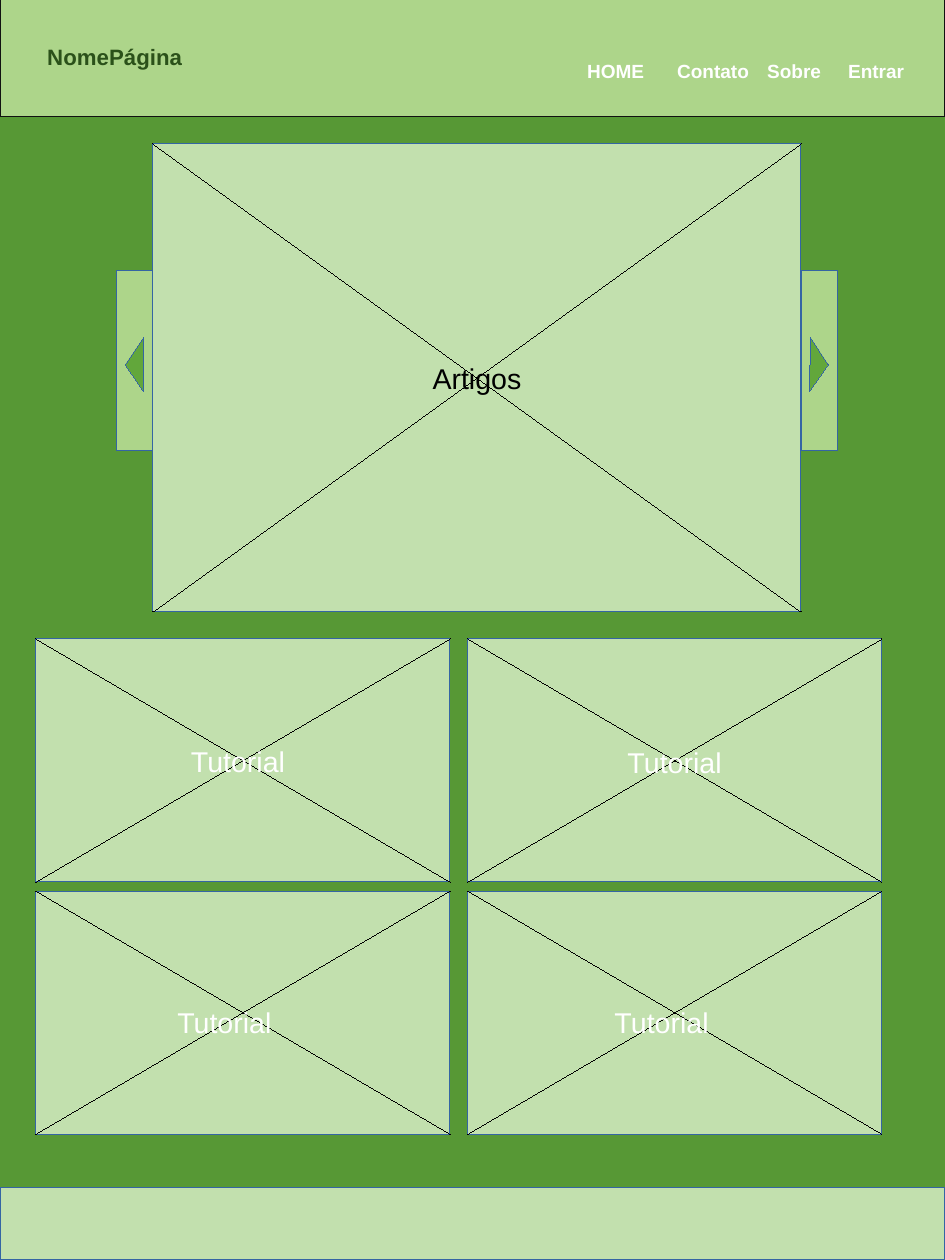
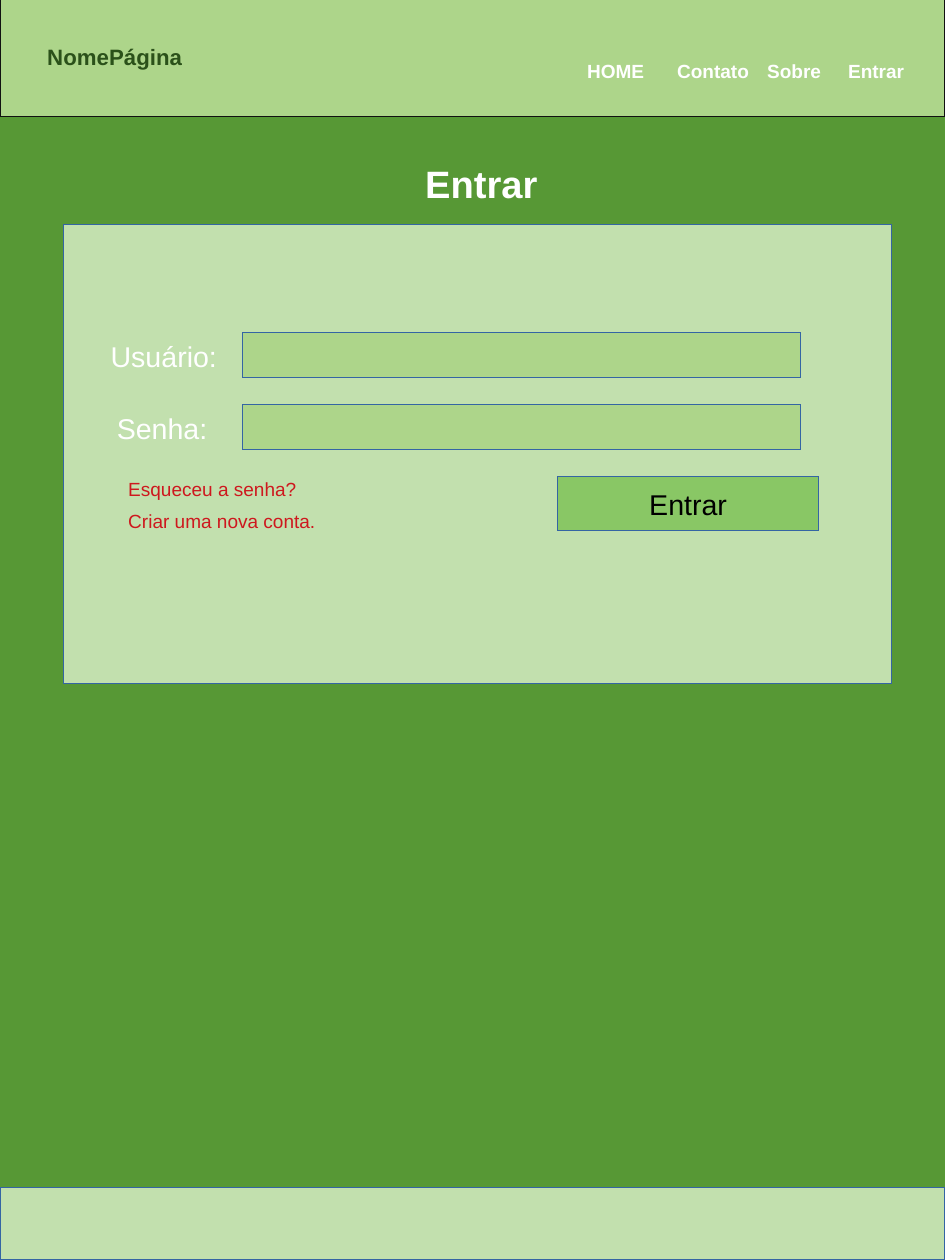
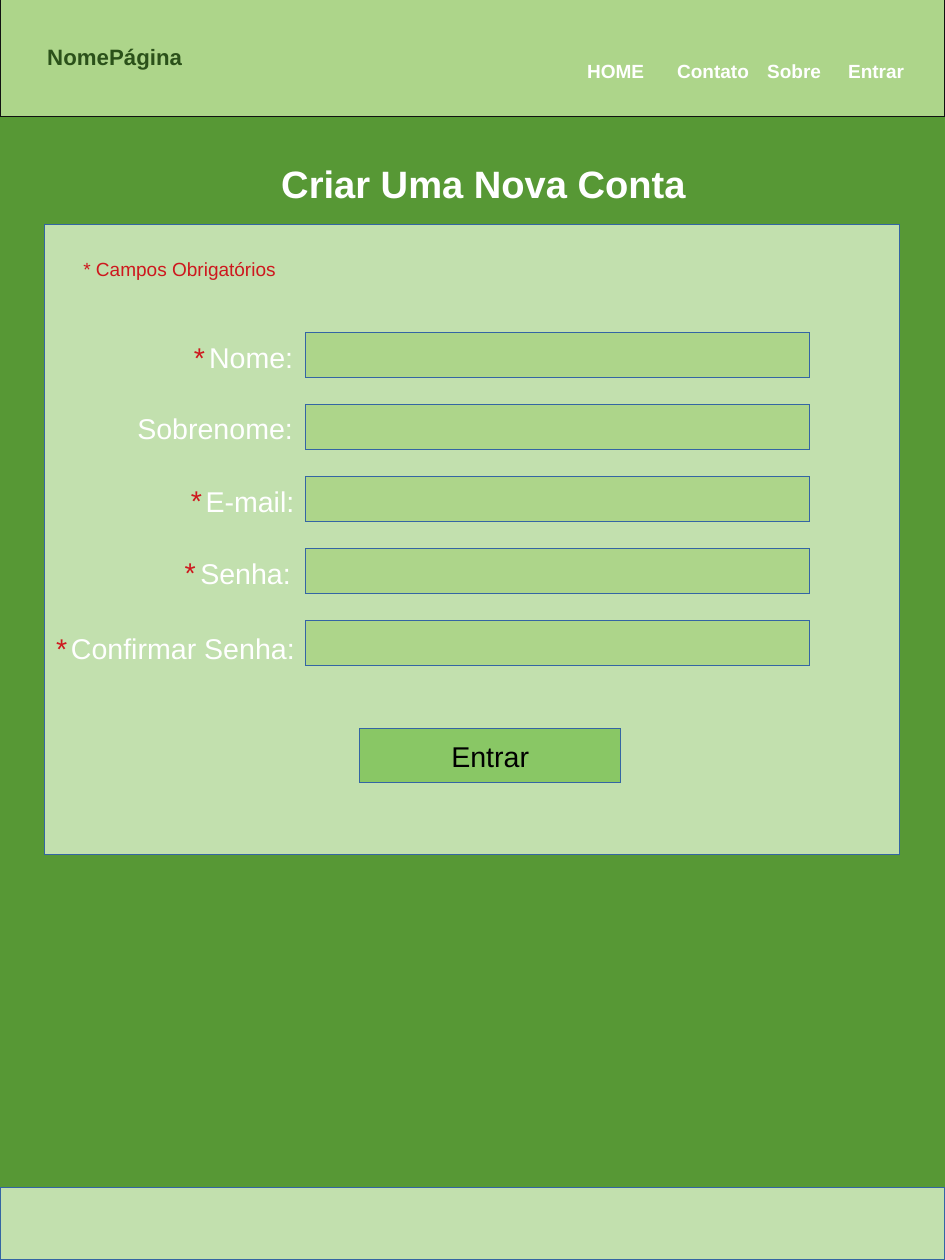
from typing import NamedTuple

from lxml import etree
from pptx import Presentation
from pptx.dml.color import RGBColor
from pptx.enum.shapes import MSO_CONNECTOR, MSO_SHAPE
from pptx.enum.text import MSO_ANCHOR, PP_ALIGN
from pptx.oxml.ns import qn
from pptx.util import Pt

RECT = MSO_SHAPE.RECTANGLE
TRIANGLE = MSO_SHAPE.ISOSCELES_TRIANGLE
STRAIGHT = MSO_CONNECTOR.STRAIGHT
LEFT, CENTER = PP_ALIGN.LEFT, PP_ALIGN.CENTER
TOP, MIDDLE = MSO_ANCHOR.TOP, MSO_ANCHOR.MIDDLE

FONT = "Arial"
HAIRLINE = Pt(0.01)
COLORS = {
    "page": "579835",
    "band": "ADD58A",
    "panel": "C2E0AE",
    "button": "89C765",
    "arrow": "62A73B",
    "border": "3465A4",
    "header_border": "111111",
    "brand": "2B511A",
    "white": "FFFFFF",
    "black": "000000",
    "red": "CE181E",
}

PAGE_W, PAGE_H = 595.3, 793.7
HEADER_H, FOOTER_H = 73.7, 45.4
PANEL_TOP = 141.7
FIELD_TOP, FIELD_STEP, FIELD_H = 209.5, 45.35, 28.3
NAV = {"HOME": 362.8, "Contato": 419.5, "Sobre": 476.2, "Entrar": 527.2}


class Box(NamedTuple):
    x: float
    y: float
    w: float
    h: float


class Label(NamedTuple):
    text: str
    x: float
    y: float
    w: float


def rgb(name: str) -> RGBColor:
    return RGBColor.from_string(COLORS[name])


def write(sp, text: str, *, size: float = 18, color: str = "white", bold: bool = False,
          align=LEFT, anchor=TOP) -> None:
    tf = sp.text_frame
    tf.word_wrap = True
    tf.vertical_anchor = anchor
    p = tf.paragraphs[0]
    p.alignment = align
    r = p.add_run()
    r.text = text
    r.font.name = FONT
    r.font.size = Pt(size)
    r.font.bold = bold
    r.font.color.rgb = rgb(color)


def add_box(slide, box: Box, fill: str, *, border: str = "border", kind=RECT,
            rotation: float = 0):
    sp = slide.shapes.add_shape(kind, *map(Pt, box))
    sp.shadow.inherit = False
    sp.rotation = rotation
    sp.fill.solid()
    sp.fill.fore_color.rgb = rgb(fill)
    sp.line.color.rgb = rgb(border)
    sp.line.width = HAIRLINE
    return sp


def add_label(slide, label: Label, **style) -> None:
    height = style.get("size", 18) * 1.15 + 7.2
    sp = slide.shapes.add_textbox(Pt(label.x), Pt(label.y), Pt(label.w), Pt(height))
    write(sp, label.text, **style)


def add_line(slide, x1: float, y1: float, x2: float, y2: float) -> None:
    line = slide.shapes.add_connector(STRAIGHT, Pt(x1), Pt(y1), Pt(x2), Pt(y2))
    line.line.color.rgb = rgb("black")
    line.line.width = HAIRLINE
    etree.SubElement(line._element.spPr, qn("a:effectLst"))


def add_crossed_box(slide, box: Box, caption: str = "") -> None:
    """Wireframe placeholder: a panel with both diagonals."""
    sp = add_box(slide, box, "panel")
    if caption:
        write(sp, caption, color="black", align=CENTER, anchor=MIDDLE)
    right, bottom = box.x + box.w, box.y + box.h
    add_line(slide, box.x, box.y, right, bottom)
    add_line(slide, right, box.y, box.x, bottom)


def add_button(slide, x: float, y: float) -> None:
    sp = add_box(slide, Box(x, y, 164.4, 34), "button")
    write(sp, "Entrar", color="black", align=CENTER, anchor=MIDDLE)


def add_page(prs):
    """Blank slide with the shared background, header, menu and footer."""
    slide = prs.slides.add_slide(prs.slide_layouts[6])
    slide.background.fill.solid()
    slide.background.fill.fore_color.rgb = rgb("page")
    add_box(slide, Box(0, 0, PAGE_W, HEADER_H), "band", border="header_border")
    add_box(slide, Box(0, PAGE_H - FOOTER_H, PAGE_W, FOOTER_H), "panel")
    add_label(slide, Label("NomePágina", 22.7, 24, 102), size=14, color="brand", bold=True)
    for text, x in NAV.items():
        add_label(slide, Label(text, x, 34, 62.6), size=12, bold=True)
    return slide


def add_form_page(prs, title: Label, panel: Box, field_x: float, field_w: float,
                  labels: list[Label]):
    """Page with a titled panel and one input field per label."""
    slide = add_page(prs)
    add_label(slide, title, size=24, bold=True)
    add_box(slide, panel, "panel")
    for i, label in enumerate(labels):
        y = FIELD_TOP + i * FIELD_STEP
        add_box(slide, Box(field_x, y, field_w, FIELD_H), "band")
        add_label(slide, label)
    return slide


def build_home(prs) -> None:
    slide = add_page(prs)
    carousel = Box(96.4, 90.7, 408.2, 294.8)
    add_crossed_box(slide, carousel, "Artigos")

    tab_w, tab_y, tab_h = 22.7, 170.1, 113.4
    for x in (carousel.x - tab_w, carousel.x + carousel.w):
        add_box(slide, Box(x, tab_y, tab_w, tab_h), "band")
    for x, rotation in ((67.7, 270), (499, 91)):
        add_box(slide, Box(x, 223.9, 34, 11.5), "arrow", kind=TRIANGLE, rotation=rotation)

    for y in (402.5, 561.3):
        for x in (22.7, 294.8):
            add_crossed_box(slide, Box(x, y, 260.8, 153.1))
    for x, y in ((113.2, 465.1), (388.2, 465.8), (104.6, 629.3), (380, 629.3)):
        add_label(slide, Label("Tutorial", x, y, 82))


def build_login(prs) -> None:
    slide = add_form_page(
        prs, Label("Entrar", 260.8, 97.2, 95), Box(39.7, PANEL_TOP, 521.6, 289.1),
        153.1, 351.5,
        [Label("Usuário:", 62.6, 210, 90), Label("Senha:", 66.5, 255.3, 80)])
    add_button(slide, 351.3, 300.4)
    for link in (Label("Esqueceu a senha?", 73.7, 297.1, 130),
                 Label("Criar uma nova conta.", 73.7, 317.2, 142)):
        add_label(slide, link, size=12, color="red")


def build_sign_up(prs) -> None:
    slide = add_form_page(
        prs, Label("Criar Uma Nova Conta", 170.1, 97.2, 280),
        Box(28.1, PANEL_TOP, 538.6, 396.9), 192.6, 317.5,
        [Label("Nome:", 124.6, 210.5, 75),
         Label("Sobrenome:", 79.4, 255.3, 120),
         Label("E-mail:", 122.4, 301.3, 80),
         Label("Senha:", 119.1, 346.6, 80),
         Label("Confirmar Senha:", 37.6, 393.8, 165)])
    add_button(slide, 226.6, 459.1)
    add_label(slide, Label("* Campos Obrigatórios", 45.4, 158.4, 145),
              size=12, color="red")
    for x, y in ((115, 210.5), (113.2, 300.6), (109.2, 346), (28.3, 393.8)):
        add_label(slide, Label("*", x, y, 24), color="red")


def main() -> None:
    prs = Presentation()
    prs.slide_width, prs.slide_height = Pt(PAGE_W), Pt(PAGE_H)
    build_home(prs)
    build_login(prs)
    build_sign_up(prs)
    prs.save("out.pptx")


if __name__ == "__main__":
    main()
